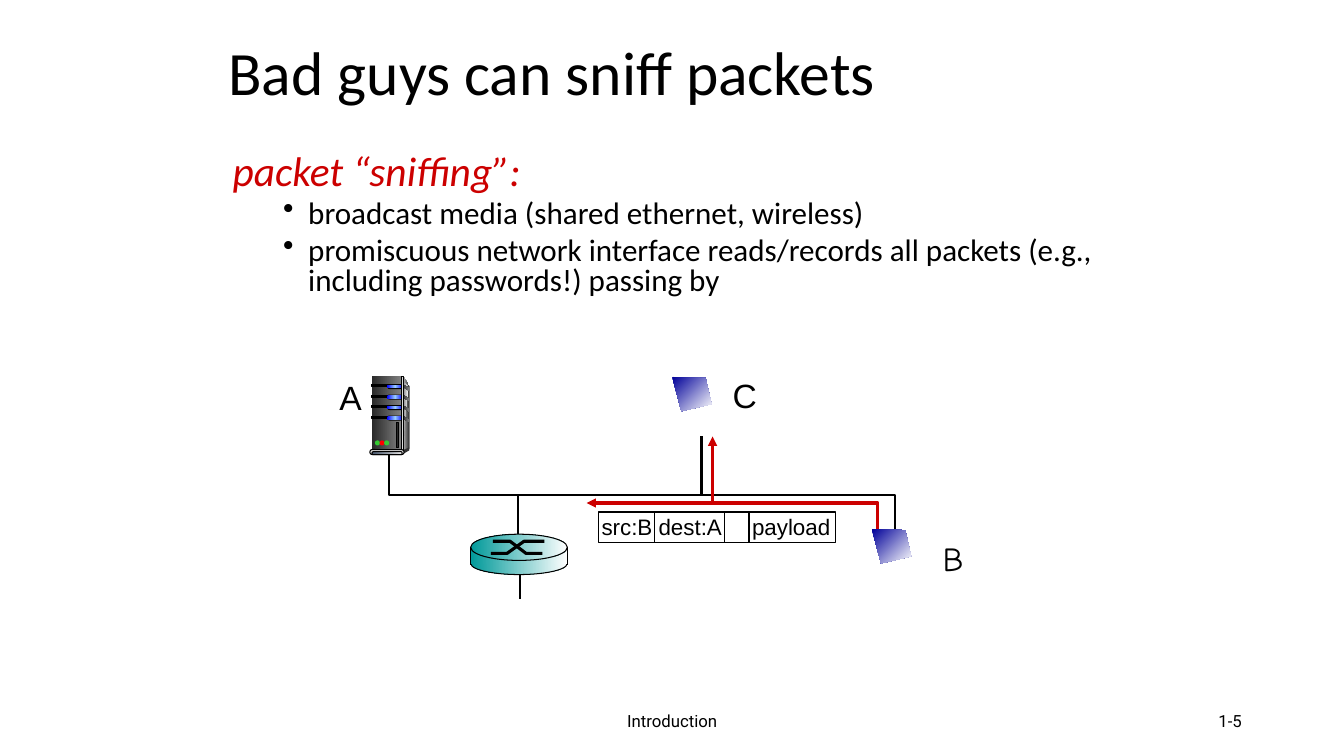
import copy

import pptx
import pptx.dml.color
import pptx.enum.dml
import pptx.enum.shapes
import pptx.enum.text
import pptx.oxml.ns
import pptx.oxml.xmlchemy
import pptx.util

Pt = pptx.util.Pt
RGBColor = pptx.dml.color.RGBColor
Kind = pptx.enum.shapes.MSO_SHAPE
Align = pptx.enum.text.PP_ALIGN
Anchor = pptx.enum.text.MSO_ANCHOR
qn = pptx.oxml.ns.qn
Element = pptx.oxml.xmlchemy.OxmlElement

BLACK = RGBColor(0x00, 0x00, 0x00)
WHITE = RGBColor(0xFF, 0xFF, 0xFF)
CRIMSON = RGBColor(0xCC, 0x00, 0x00)
RED = RGBColor(0xFF, 0x00, 0x00)
GREEN = RGBColor(0x33, 0xCC, 0x33)
NAVY = RGBColor(0x00, 0x00, 0x99)
BLUE = RGBColor(0x00, 0x00, 0xFF)
SKY = RGBColor(0x99, 0xCC, 0xFF)
TEAL = RGBColor(0x00, 0x99, 0x99)
COAL = RGBColor(0x29, 0x29, 0x29)
DARK = RGBColor(0x33, 0x33, 0x33)
GREY = RGBColor(0x80, 0x80, 0x80)
SILVER = RGBColor(0xDD, 0xDD, 0xDD)
PALE = RGBColor(0xF8, 0xF8, 0xF8)
SLATE = RGBColor(0x44, 0x54, 0x6A)
CLOUD = RGBColor(0xE7, 0xE6, 0xE6)


class Board:
    """Draws styled elements on one slide, with all lengths in points."""

    head = "Calibri"
    label = "Arial"
    foot = "Roboto"

    def __init__(self, slide):
        self.shapes = slide.shapes

    def blend(self, shape, tints, angle):
        shape.fill.gradient()
        shape.fill.gradient_angle = (360 - angle) % 360
        stops = shape._element.spPr.find(qn("a:gradFill")).find(qn("a:gsLst"))
        if len(tints) > len(stops):
            stops.insert(1, copy.deepcopy(stops[0]))
        for i, (stop, tint) in enumerate(zip(shape.fill.gradient_stops, tints)):
            stop.color.rgb = tint
            stop.position = i / (len(tints) - 1)

    def stroke(self, shape, color, width, arrow=False):
        shape.line.color.rgb = color
        shape.line.width = Pt(width)
        if arrow:
            tip = Element("a:tailEnd")
            tip.set("type", "triangle")
            shape._element.spPr.find(qn("a:ln")).append(tip)

    def paint(self, shape, fill, line, width, angle=0, arrow=False):
        shape.shadow.inherit = False
        if isinstance(fill, list):
            self.blend(shape, fill, angle)
        elif fill is None:
            shape.fill.background()
        else:
            shape.fill.solid()
            shape.fill.fore_color.rgb = fill
        if line is None:
            shape.line.fill.background()
        else:
            self.stroke(shape, line, width, arrow)

    def block(self, kind, x, y, w, h, fill, line=None, width=0.75):
        shape = self.shapes.add_shape(kind, Pt(x), Pt(y), Pt(w), Pt(h))
        if kind == Kind.ROUNDED_RECTANGLE:
            shape.adjustments[0] = 0.5
        self.paint(shape, fill, line, width)

    def free(self, points, fill=None, line=None, width=1.5, angle=0, arrow=False):
        dots = [(Pt(x), Pt(y)) for x, y in points]
        pen = self.shapes.build_freeform(*dots[0], scale=1.0)
        pen.add_line_segments(dots[1:], close=fill is not None)
        self.paint(pen.convert_to_shape(), fill, line, width, angle, arrow)

    def line(self, x1, y1, x2, y2, width=1.5, color=BLACK, arrow=False):
        kind = pptx.enum.shapes.MSO_CONNECTOR.STRAIGHT
        wire = self.shapes.add_connector(kind, Pt(x1), Pt(y1), Pt(x2), Pt(y2))
        self.stroke(wire, color, width, arrow)
        wire._element.spPr.append(Element("a:effectLst"))

    def text(self, words, x, y, w, h, size, font, align=Align.LEFT,
             anchor=Anchor.TOP, wrap=True):
        box = self.shapes.add_textbox(Pt(x), Pt(y), Pt(w), Pt(h))
        frame = box.text_frame
        frame.text = words
        frame.word_wrap = wrap
        frame.vertical_anchor = anchor
        for para in frame.paragraphs:
            para.alignment = align
            self.font(para, size, font)
        return frame

    def font(self, para, size, name, color=BLACK, italic=False):
        for run in para.runs:
            run.font.size = Pt(size)
            run.font.name = name
            run.font.color.rgb = color
            run.font.italic = italic

    def bullet(self, para):
        props = para._p.get_or_add_pPr()
        props.set("marL", str(Pt(54)))
        props.set("indent", str(Pt(-18)))
        mark = Element("a:buChar")
        mark.set("char", "•")
        props.append(mark)
        para.space_before = Pt(5)

    def tab(self, para, place):
        stops = Element("a:tabLst")
        stop = Element("a:tab")
        stop.set("pos", str(Pt(place)))
        stop.set("algn", "l")
        stops.append(stop)
        para._p.get_or_add_pPr().append(stops)

    def laptop(self, x, y):
        edge = [(0, 0), (23.8, 0.7), (28.1, 19.4), (6.5, 24.5)]
        self.free([(x + a, y + b) for a, b in edge], [NAVY, WHITE], angle=45)

    def server(self):
        self.free([(288, 268.6), (292.3, 275.8), (292.3, 320.4), (286.6, 322.6)],
                  [SILVER, DARK])
        self.block(Kind.RECTANGLE, 265.7, 268.6, 20.9, 53.3, [COAL, GREY])
        self.free([(288, 272.2), (291.6, 276.5), (289.2, 300), (288, 321.1)],
                  [GREY, PALE])
        for row in range(4):
            y = 275 + 7.5 * row
            self.free([(287.5, y - 0.5), (292.3, y + 2),
                       (292.3, y + 4.2), (287.5, y + 1.2)], [COAL, GREY])
            self.block(Kind.RECTANGLE, 265.7, y, 12.2, 1.2, BLACK, BLACK)
            self.block(Kind.ROUNDED_RECTANGLE, 276.5, y - 0.7, 11.5, 3.6, BLACK)
            self.block(Kind.ROUNDED_RECTANGLE, 276.5, y, 11.5, 2.5, [BLUE, SKY, BLUE])
        self.block(Kind.RECTANGLE, 286.6, 268.6, 1.4, 53.3, [DARK, SILVER, DARK], BLACK)
        self.block(Kind.OVAL, 291.6, 319.7, 0.7, 2.2, DARK)
        self.free([(287.3, 321.8), (287.3, 324.7), (292.3, 321.8), (292.3, 319.7)], DARK)
        self.block(Kind.ROUNDED_RECTANGLE, 264.2, 321.1, 24.5, 3.6, SILVER, BLACK)
        self.block(Kind.ROUNDED_RECTANGLE, 265.7, 322.6, 21.6, 2.2, [SLATE, CLOUD], BLACK)
        for i, lamp in enumerate([GREEN, RED, GREEN]):
            self.block(Kind.OVAL, 267.8 + 3.3 * i, 314.6, 3.6, 3.6, lamp)
        self.block(Kind.RECTANGLE, 283, 301.7, 1.4, 18, COAL, BLACK)

    def router(self):
        x, w = 336.2, 69.1
        glaze = [TEAL, WHITE]
        self.block(Kind.OVAL, x, 394.6, w, 15.8, glaze, BLACK)
        self.block(Kind.RECTANGLE, x, 393.1, w, 10.1, glaze)
        self.block(Kind.OVAL, x, 381.6, w, 18.7, glaze, BLACK)
        low, high = 395.3, 386.6
        self.free([(350.6, low), (362.2, low), (374.4, high), (388.8, high)],
                  line=BLACK, width=2.25)
        self.free([(352.1, high), (364.3, high), (375.8, low), (387.4, low)],
                  line=BLACK, width=2.25)
        for side in (x, x + w):
            self.line(side, 391, side, 403.5, 0.75)

    def packet(self):
        self.block(Kind.RECTANGLE, 427.7, 365.8, 169.2, 21.6, WHITE, BLACK, 1)
        for x in (467.3, 517.7, 535):
            self.line(x, 366.5, x, 387.8, 1)
        frame = self.text("src:B dest:A\tpayload", 422.6, 362.9, 180.7, 26.6,
                          16, self.label)
        self.tab(frame.paragraphs[0], 107.5)


def main():
    deck = pptx.Presentation()
    deck.slide_width, deck.slide_height = Pt(960), Pt(540)
    board = Board(deck.slides.add_slide(deck.slide_layouts[6]))

    board.text("Introduction", 318.2, 500.4, 324, 28.8, 12, board.foot,
               Align.CENTER, Anchor.MIDDLE)
    board.text("1-5", 678.2, 500.4, 216, 28.8, 12, board.foot,
               Align.RIGHT, Anchor.MIDDLE)
    title = board.text("Bad guys can sniff packets", 156.2, 8.6, 612, 90, 44,
                       board.head, anchor=Anchor.MIDDLE)
    title.paragraphs[0].line_spacing = 0.9

    body = board.text("packet “sniffing”:\n"
                      "broadcast media (shared ethernet, wireless)\n"
                      "promiscuous network interface reads/records all packets "
                      "(e.g., including passwords!) passing by",
                      159.1, 106.6, 635.8, 116.6, 22.2, board.head)
    for para in body.paragraphs[1:]:
        board.bullet(para)
    for para in body.paragraphs:
        para.line_spacing = 0.8
    board.font(body.paragraphs[0], 29.6, board.head, CRIMSON, True)

    board.laptop(480.2, 269.3)
    board.free([(277.9, 321.8), (277.9, 353.5), (639.4, 353.5), (639.4, 379.4)],
               line=BLACK)
    board.line(501.1, 352.8, 501.1, 311.8)
    board.line(370.1, 382.3, 370.1, 352.8)
    board.line(371.5, 427.7, 371.5, 409)
    for name, x, y, w, font in [("A", 235.4, 265.7, 30.2, board.label),
                                ("B", 666, 380.9, 29.5, "Comic Neue"),
                                ("C", 516.2, 264.2, 31.7, board.label)]:
        board.text(name, x, y, w, 36, 24, font, Align.CENTER, wrap=False)
    board.packet()
    board.free([(627.1, 378), (627.1, 359.3), (419, 359.3)],
               line=CRIMSON, width=2.25, arrow=True)
    board.line(509, 359.3, 509, 311.8, 2.25, CRIMSON, True)
    board.server()
    board.laptop(622.8, 378)
    board.router()
    deck.save("out.pptx")


if __name__ == "__main__":
    main()
